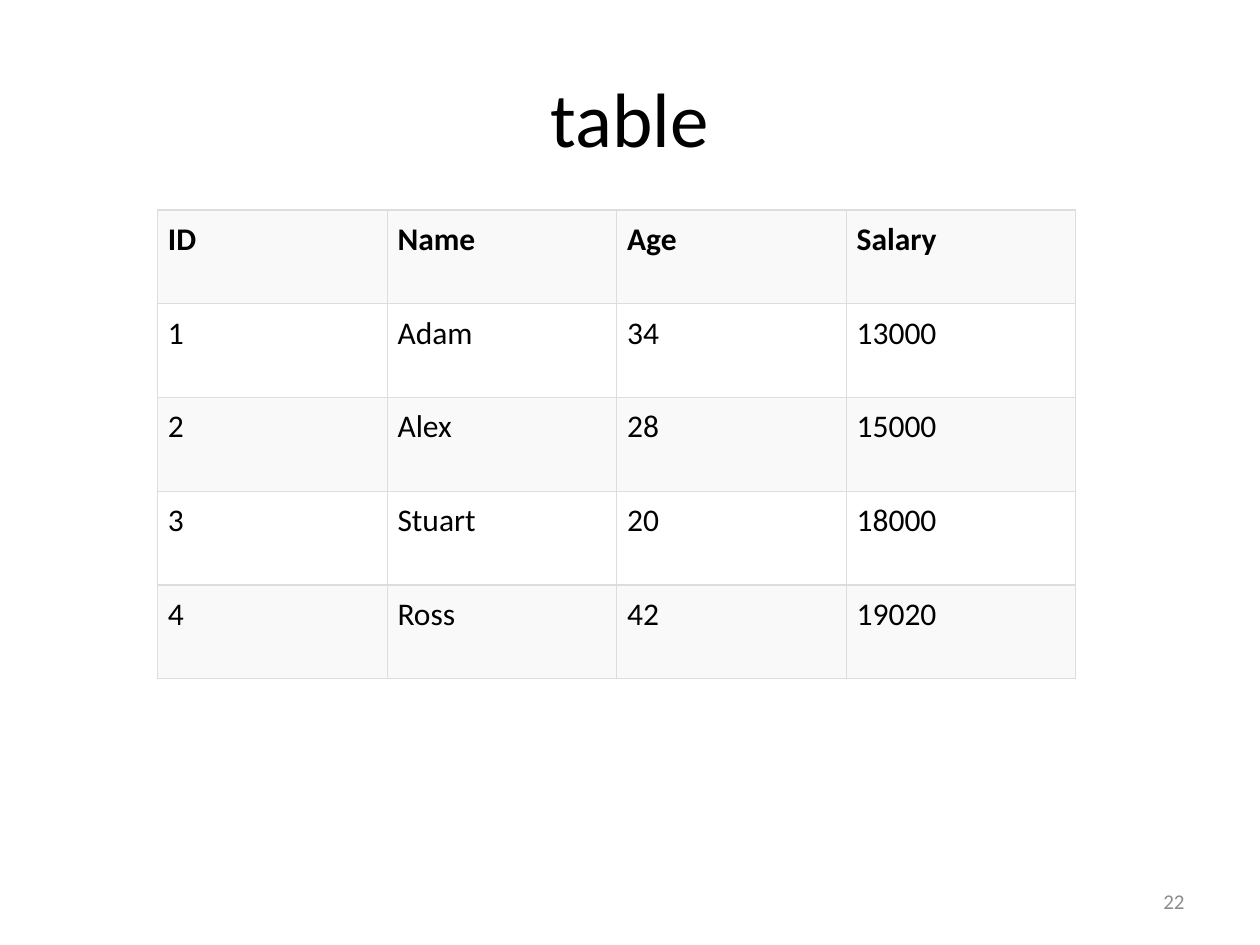
from dataclasses import dataclass

import lxml.etree
import pptx
import pptx.dml.color
import pptx.enum.text
import pptx.oxml.ns
import pptx.util

Pt = pptx.util.Pt
ALIGN = pptx.enum.text.PP_ALIGN
MIDDLE = pptx.enum.text.MSO_ANCHOR.MIDDLE

ROWS = [
    ("ID", "Name", "Age", "Salary"),
    ("1", "Adam", "34", "13000"),
    ("2", "Alex", "28", "15000"),
    ("3", "Stuart", "20", "18000"),
    ("4", "Ross", "42", "19020"),
]
BAND_FILLS = ("F9F9F9", "FFFFFF")
BORDER_COLOR = "DDDDDD"
BORDER_WIDTH = 0.75
CELL_MARGIN = 6


@dataclass
class Area:
    left: float
    top: float
    width: float
    height: float

    def lengths(self) -> tuple:
        return Pt(self.left), Pt(self.top), Pt(self.width), Pt(self.height)


@dataclass
class TextStyle:
    size: float
    color: str = "000000"
    bold: bool = False
    align: ALIGN = ALIGN.LEFT


def rgb(color: str) -> pptx.dml.color.RGBColor:
    return pptx.dml.color.RGBColor.from_string(color)


def write(frame, text: str, style: TextStyle) -> None:
    frame.text = text
    para = frame.paragraphs[0]
    para.alignment = style.align
    font = para.font
    font.name, font.size, font.bold = "Calibri", Pt(style.size), style.bold
    font.color.rgb = rgb(style.color)


def add_borders(cell) -> None:
    qn = pptx.oxml.ns.qn
    properties = cell._tc.get_or_add_tcPr()
    for side in ("lnL", "lnR", "lnT", "lnB"):
        line = lxml.etree.SubElement(properties, qn(f"a:{side}"), w=str(Pt(BORDER_WIDTH)))
        fill = lxml.etree.SubElement(line, qn("a:solidFill"))
        lxml.etree.SubElement(fill, qn("a:srgbClr"), val=BORDER_COLOR)


def fill_cell(cell, text: str, fill: str, style: TextStyle) -> None:
    cell.margin_left = cell.margin_right = Pt(CELL_MARGIN)
    cell.margin_top = cell.margin_bottom = Pt(CELL_MARGIN)
    add_borders(cell)
    cell.fill.solid()
    cell.fill.fore_color.rgb = rgb(fill)
    write(cell.text_frame, text, style)


def add_salary_table(page, area: Area) -> None:
    table = page.shapes.add_table(len(ROWS), len(ROWS[0]), *area.lengths()).table
    table.first_row = table.horz_banding = False
    for row, texts in enumerate(ROWS):
        style = TextStyle(18, bold=row == 0)
        for column, text in enumerate(texts):
            fill_cell(table.cell(row, column), text, BAND_FILLS[row % 2], style)


def main() -> None:
    deck = pptx.Presentation()
    deck.slide_width, deck.slide_height = Pt(720), Pt(540)
    page = deck.slides.add_slide(deck.slide_layouts[5])

    # Title
    title = page.shapes.title
    title.left, title.top, title.width, title.height = Area(36, 21.6, 648, 90).lengths()
    title.text_frame.vertical_anchor = MIDDLE
    write(title.text_frame, "table", TextStyle(44, align=ALIGN.CENTER))

    # Salary table
    add_salary_table(page, Area(90, 120, 524.8, 268))

    # Page number
    number = page.shapes.add_textbox(*Area(516, 500.5, 168, 28.8).lengths())
    number.text_frame.word_wrap = True
    number.text_frame.vertical_anchor = MIDDLE
    write(number.text_frame, "22", TextStyle(12, "8C8C8C", align=ALIGN.RIGHT))

    deck.save("out.pptx")


if __name__ == "__main__":
    main()
